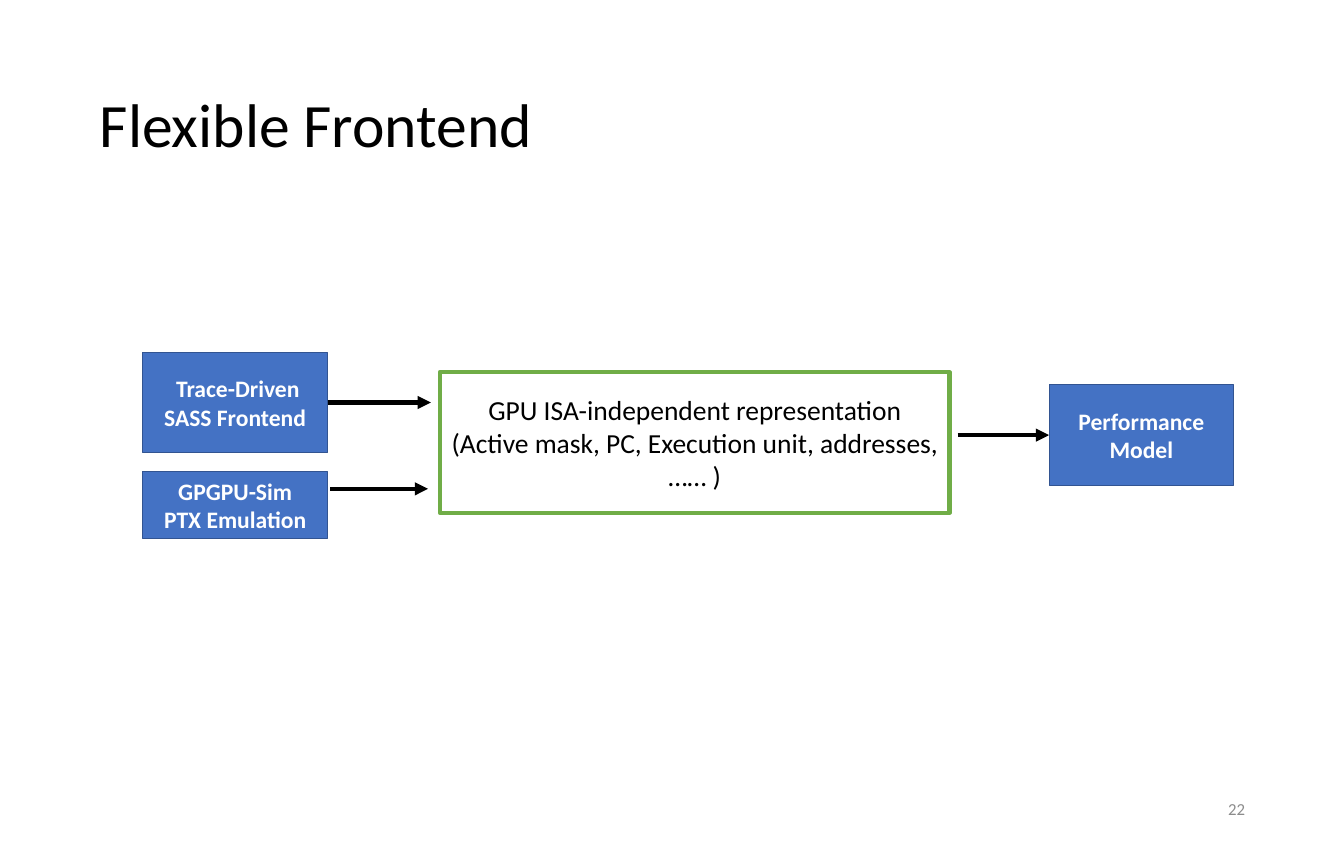
from pptx import Presentation, util as u
from pptx.dml.color import RGBColor
from pptx.enum import shapes, text
from pptx.oxml.ns import qn
from lxml import etree

COLORS = {"ink": "000000", "paper": "FFFFFF", "blue": "4472C4",
          "blue_edge": "325491", "green": "70AD47", "grey": "8C8C8C"}
FONT = "Calibri"
BLUE_W, BLUE_H = 6.63, 3.61  # size of the tall blue boxes, in cm


def rgb(name):
    return RGBColor.from_string(COLORS[name])


def cm(*lengths):
    return [u.Cm(v) for v in lengths]


def write(sp, lines, size, color, align, bold=False):
    tf = sp.text_frame
    tf.word_wrap = True
    tf.auto_size = text.MSO_AUTO_SIZE.NONE
    tf.vertical_anchor = text.MSO_ANCHOR.MIDDLE
    tf.text = "\n".join(lines)
    for p in tf.paragraphs:
        p.alignment = align
        p.font.name, p.font.size, p.font.bold = FONT, u.Pt(size), bold
        p.font.color.rgb = rgb(color)


def add_box(s, box, lines, size, fill, edge, width, color, bold):
    sp = s.shapes.add_shape(shapes.MSO_SHAPE.RECTANGLE, *cm(*box))
    sp.shadow.inherit = False
    sp.fill.solid()
    sp.fill.fore_color.rgb = rgb(fill)
    sp.line.color.rgb = rgb(edge)
    sp.line.width = u.Pt(width)
    write(sp, lines, size, color, text.PP_ALIGN.CENTER, bold)


def add_arrow(s, x1, x2, y):
    cx = s.shapes.add_connector(shapes.MSO_CONNECTOR.STRAIGHT, *cm(x1, y, x2, y))
    cx.line.color.rgb = rgb("ink")
    cx.line.width = u.Pt(4.5)
    etree.SubElement(cx.line._get_or_add_ln(), qn("a:tailEnd"), type="triangle")
    etree.SubElement(cx._element.spPr, qn("a:effectLst"))


def title_region(s, box):
    sp = s.shapes.title
    sp.left, sp.top, sp.width, sp.height = cm(*box)
    write(sp, ["Flexible Frontend"], 62.7, "ink", text.PP_ALIGN.LEFT)
    sp.text_frame.paragraphs[0].line_spacing = 0.9


def number_region(s, box):
    sp = s.shapes.add_textbox(*cm(*box))
    write(sp, ["22"], 17.1, "grey", text.PP_ALIGN.RIGHT)


def flow_region(s, box):
    left, top, width, height = box
    model_x = width - BLUE_W
    ptx_h = 2.41

    # Shared representation in the middle
    add_box(s, (left + 10.67, top + 0.71, 18.29, 5.05),
            ["GPU ISA-independent representation",
             "(Active mask, PC, Execution unit, addresses, …… )"],
            28, "paper", "green", 4.5, "ink", False)

    # Two frontends on the left, the model on the right
    for x, y, h, lines in [
            (0, 0, BLUE_H, [" Trace-Driven SASS Frontend"]),
            (0, height - ptx_h, ptx_h, ["GPGPU-Sim", "PTX Emulation"]),
            (model_x, 1.17, BLUE_H, ["Performance Model"])]:
        add_box(s, (left + x, top + y, BLUE_W, h), lines,
                24, "blue", "blue_edge", 1, "paper", True)

    # Arrows from frontends to representation to model
    for x1, x2, y in [(BLUE_W, 10.34, 1.8), (BLUE_W + 0.1, 10.24, 4.9),
                      (29.26, model_x, 2.97)]:
        add_arrow(s, left + x1, left + x2, top + y)


prs = Presentation()
prs.slide_width, prs.slide_height = cm(48.26, 30.48)
s = prs.slides.add_slide(prs.slide_layouts[5])
s.background.fill.solid()
s.background.fill.fore_color.rgb = rgb("paper")
title_region(s, (3.33, 1.63, 41.63, 5.89))
flow_region(s, (5.13, 12.65, 39.17, 6.68))
number_region(s, (34.09, 28.24, 10.87, 1.63))
prs.save("out.pptx")
